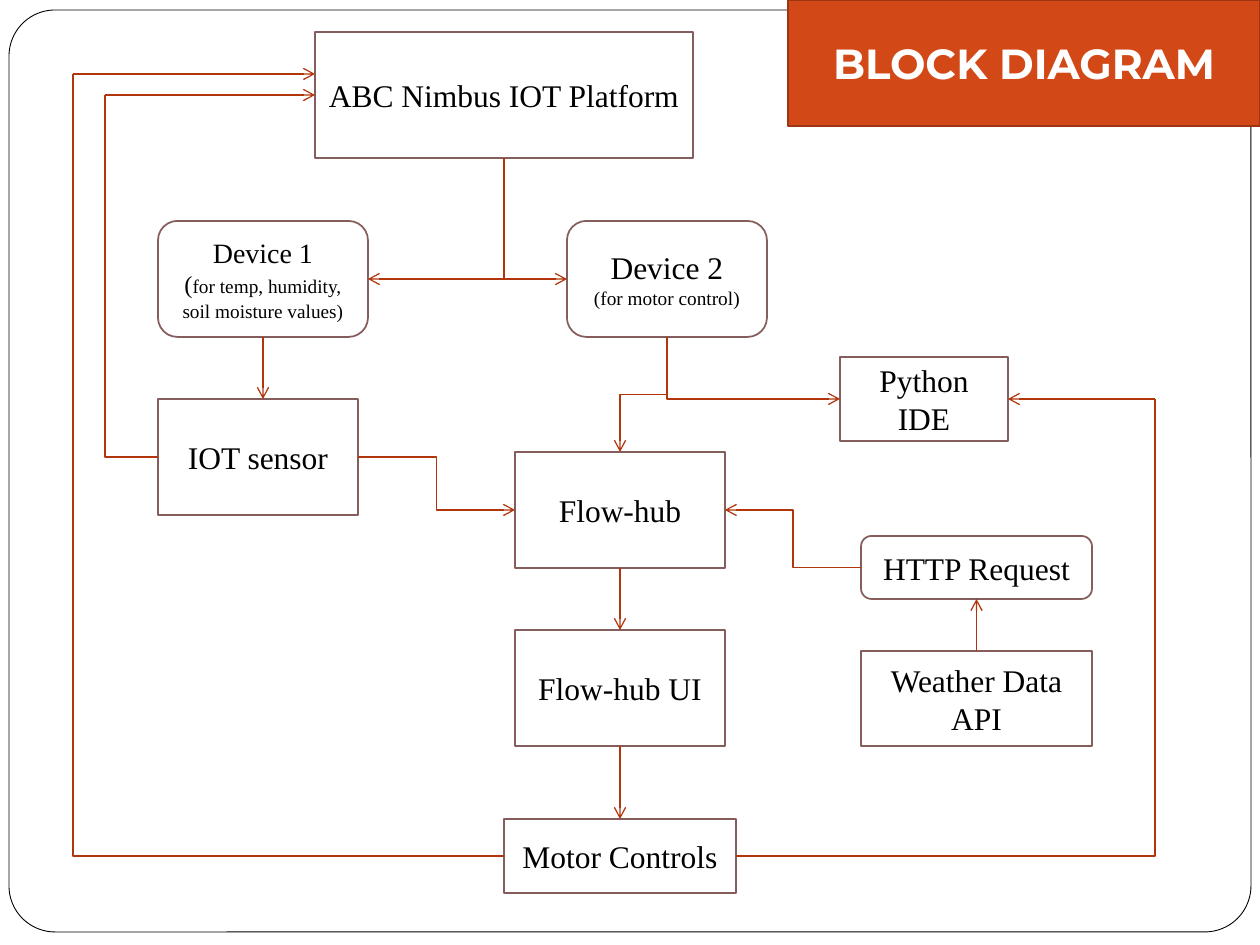
from lxml.etree import SubElement
from pptx import Presentation
from pptx.dml.color import RGBColor
from pptx.enum.shapes import MSO_CONNECTOR, MSO_SHAPE
from pptx.enum.text import MSO_ANCHOR, PP_ALIGN
from pptx.oxml.ns import qn
from pptx.util import Emu, Pt

SCALE = 914400 / 126  # EMU in one px
TOP, LEFT, BOTTOM, RIGHT = range(4)
SITE_OFFSETS = [(0.5, 0), (0, 0.5), (0.5, 1), (1, 0.5)]
RECT, ROUNDED = MSO_SHAPE.RECTANGLE, MSO_SHAPE.ROUNDED_RECTANGLE

presentation = Presentation()
presentation.slide_width = Emu(round(1260 * SCALE))
presentation.slide_height = Emu(round(945 * SCALE))
slide = presentation.slides.add_slide(presentation.slide_layouts[6])


def add_box(kind, box, fill="FFFFFF", line="855D5D", line_width=1):
    shape = slide.shapes.add_shape(kind, *[Emu(round(value * SCALE)) for value in box])
    shape.shadow.inherit = False
    shape.fill.solid()
    shape.fill.fore_color.rgb = RGBColor.from_string(fill)
    shape.line.color.rgb = RGBColor.from_string(line)
    shape.line.width = Pt(line_width)
    shape.text_frame.word_wrap = True
    shape.text_frame.vertical_anchor = MSO_ANCHOR.MIDDLE
    return shape


def write_text(paragraph, text, size=18, font="Times New Roman", color="000000", bold=False):
    paragraph.alignment = PP_ALIGN.CENTER
    run = paragraph.add_run()
    run.text = text
    run.font.size = Pt(size)
    run.font.name = font
    run.font.bold = bold
    run.font.color.rgb = RGBColor.from_string(color)


# Slide frame
frame = add_box(ROUNDED, (9, 10, 1242, 922), line="000000", line_width=0.5)
frame.adjustments[0] = 0.05

# Blocks: name, kind, box, paragraphs made of (text, size) runs
blocks = [
    ("platform", RECT, (315, 32, 378, 126), [[("ABC Nimbus IOT Platform", 18)]]),
    ("device 1", ROUNDED, (158, 221, 210, 116),
     [[("Device 1", 16)], [("(", 14), ("for temp, humidity, soil moisture values)", 11)]]),
    ("device 2", ROUNDED, (567, 221, 200, 116),
     [[("Device 2", 18)], [("(for motor control)", 11)]]),
    ("sensor", RECT, (158, 399, 200, 116), [[("IOT sensor", 18)]]),
    ("flow", RECT, (515, 452, 210, 116), [[("Flow-hub", 18)]]),
    ("flow ui", RECT, (515, 630, 210, 116), [[("Flow-hub UI", 18)]]),
    ("python", RECT, (840, 357, 168, 84), [[("Python IDE", 18)]]),
    ("request", ROUNDED, (861, 536, 231, 63), [[("HTTP Request", 18)]]),
    ("weather", RECT, (861, 651, 231, 95), [[("Weather Data API", 18)]]),
    ("motor", RECT, (504, 819, 232, 74), [[("Motor Controls", 18)]]),
]
shapes = {}
for name, kind, box, paragraphs in blocks:
    shapes[name] = add_box(kind, box)
    text_frame = shapes[name].text_frame
    for index, runs in enumerate(paragraphs):
        paragraph = text_frame.add_paragraph() if index else text_frame.paragraphs[0]
        for text, size in runs:
            write_text(paragraph, text, size=size)

# Connectors: begin, end, route, arrowhead; an end is (block, site) or (x, y)
STRAIGHT, CORNER, DOWN_CORNER, STEP, DOWN_STEP = range(5)
links = [
    (("platform", BOTTOM), ("device 2", LEFT), DOWN_CORNER, True),
    (("platform", BOTTOM), ("device 1", RIGHT), DOWN_CORNER, True),
    (("device 2", BOTTOM), ("python", LEFT), DOWN_CORNER, True),
    (("device 2", BOTTOM), ("flow", TOP), DOWN_STEP, True),
    (("flow", BOTTOM), ("flow ui", TOP), STRAIGHT, True),
    (("device 1", BOTTOM), (263, 399), STRAIGHT, True),
    (("flow ui", BOTTOM), ("motor", TOP), STRAIGHT, True),
    (("sensor", LEFT), (105, 95), CORNER, False),
    ((105, 95), (315, 95), STRAIGHT, True),
    (("motor", LEFT), (73, 74), CORNER, False),
    ((73, 74), (315, 74), STRAIGHT, True),
    (("motor", RIGHT), (1155, 399), CORNER, False),
    ((1155, 399), ("python", RIGHT), STRAIGHT, True),
    (("weather", TOP), ("request", BOTTOM), STRAIGHT, True),
    (("request", LEFT), ("flow", RIGHT), STEP, True),
    (("sensor", RIGHT), ("flow", LEFT), STEP, True),
]
for begin, end, route, has_arrow in links:
    points = []
    for first, second in (begin, end):
        if first in shapes:
            block, (across, down) = shapes[first], SITE_OFFSETS[second]
            points += [block.left + block.width * across, block.top + block.height * down]
        else:
            points += [first * SCALE, second * SCALE]

    # A route that starts downwards is a sideways one turned by 90 degrees
    turned = route in (DOWN_CORNER, DOWN_STEP)
    if turned:
        x1, y1, x2, y2 = points
        middle_x, middle_y = (x1 + x2) / 2, (y1 + y2) / 2
        half_x, half_y = (x2 - x1) / 2, (y2 - y1) / 2
        points = [middle_x - half_y, middle_y + half_x, middle_x + half_y, middle_y - half_x]

    kind = MSO_CONNECTOR.STRAIGHT if route == STRAIGHT else MSO_CONNECTOR.ELBOW
    connector = slide.shapes.add_connector(kind, *[Emu(round(value)) for value in points])
    connector.line.color.rgb = RGBColor.from_string("B1360B")
    connector.line.width = Pt(0.75)
    properties = connector._element.spPr
    if turned:
        properties.find(qn("a:xfrm")).set("rot", "5400000")
    else:
        if begin[0] in shapes:
            connector.begin_connect(shapes[begin[0]], begin[1])
        if end[0] in shapes:
            connector.end_connect(shapes[end[0]], end[1])
    if route in (CORNER, DOWN_CORNER):
        properties.find(qn("a:prstGeom")).set("prst", "bentConnector2")
    if has_arrow:
        SubElement(properties.find(qn("a:ln")), qn("a:tailEnd"), type="arrow")
    SubElement(properties, qn("a:effectLst"))

# Title banner
banner = add_box(RECT, (788, 0, 472, 126), fill="D34817", line="9C3511")
write_text(banner.text_frame.paragraphs[0], "BLOCK DIAGRAM",
           size=24, font="Montserrat", color="FFFFFF", bold=True)

presentation.save("out.pptx")
